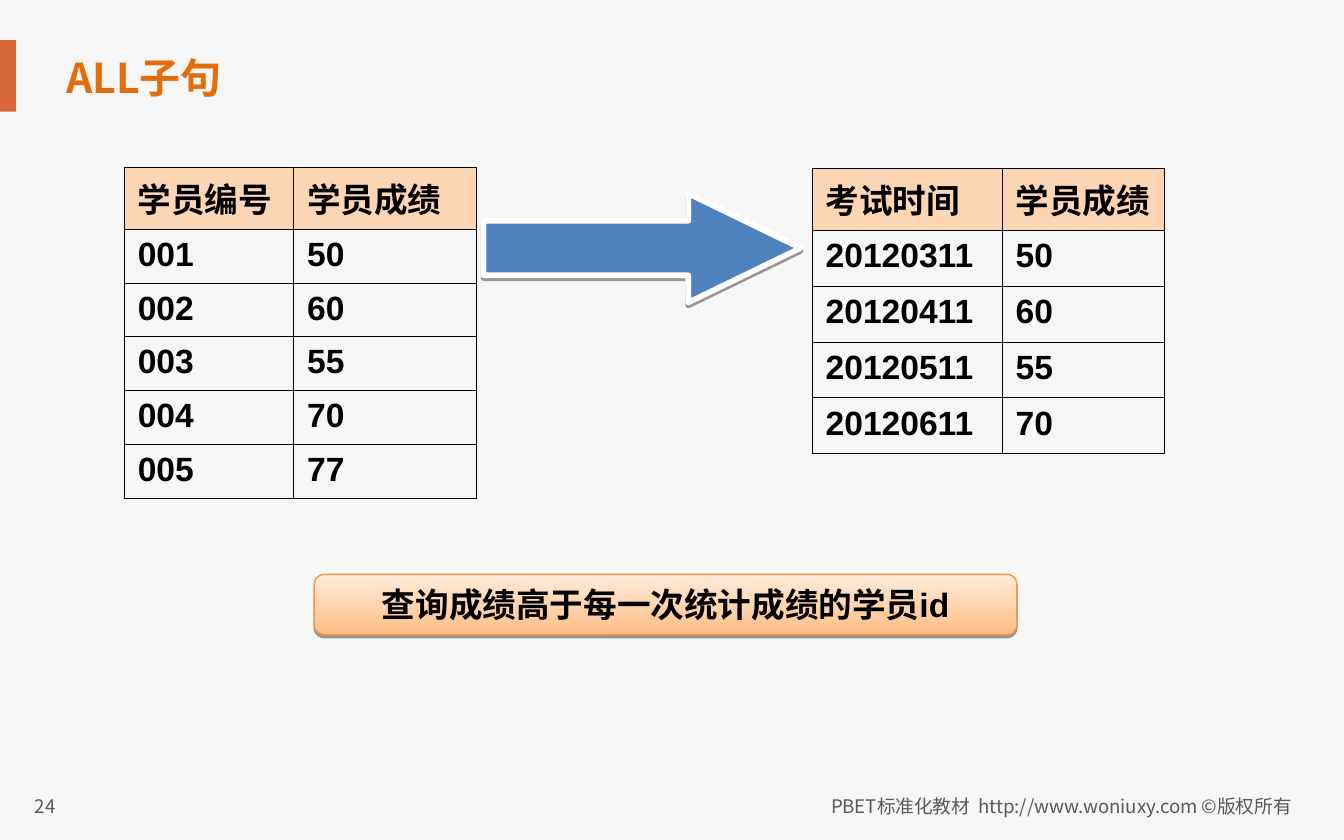
from lxml.etree import SubElement
from pptx import Presentation
from pptx.dml.color import RGBColor
from pptx.enum.shapes import MSO_SHAPE
from pptx.enum.text import MSO_ANCHOR, PP_ALIGN
from pptx.oxml.ns import qn
from pptx.util import Cm, Pt

CJK = "Noto Sans CJK SC"
LATIN = "Arial"


def color(hex_text):
    """Turn a hex string into a colour."""
    return RGBColor.from_string(hex_text)


def place(box):
    """Turn a box in centimetres into lengths."""
    return [Cm(length) for length in box]


def add_run(paragraph, text, size, font, hex_text, bold=False, spacing=None):
    """Add one formatted run, with optional letter spacing in points."""
    run = paragraph.add_run()
    run.text = text
    run.font.size = Pt(size)
    run.font.name = font
    run.font.bold = bold
    run.font.color.rgb = color(hex_text)
    properties = run.font._element
    SubElement(properties, qn("a:ea")).set("typeface", CJK)
    if spacing:
        properties.set("spc", str(round(spacing * 100)))


def add_line_of_text(slide, box, align=PP_ALIGN.LEFT, anchor=MSO_ANCHOR.TOP):
    """Add a wrapping text box and return its paragraph."""
    frame = slide.shapes.add_textbox(*place(box)).text_frame
    frame.word_wrap = True
    frame.vertical_anchor = anchor
    paragraph = frame.paragraphs[0]
    paragraph.alignment = align
    return paragraph


def add_shadow(shape):
    """Give a shape a crisp shadow just below it."""
    shape.shadow.inherit = False
    effects = shape._element.spPr.find(qn("a:effectLst"))
    shadow = SubElement(effects, qn("a:outerShdw"), blurRad="0",
                        dist=str(Pt(1.6)), dir="5400000", rotWithShape="0")
    tint = SubElement(shadow, qn("a:srgbClr"), val="000000")
    SubElement(tint, qn("a:alpha"), val="38000")


def add_heading(slide, box):
    """Draw the accent bar at the slide edge and the title beside it."""
    left, top, width, height = box
    accent = slide.shapes.add_shape(
        MSO_SHAPE.RECTANGLE, *place((left, top, 0.3, height)))
    accent.shadow.inherit = False
    accent.fill.solid()
    accent.fill.fore_color.rgb = color("D76739")
    accent.line.fill.background()
    title = add_line_of_text(slide, (left + 1, top + 0.08, width - 1, 1.22),
                             anchor=MSO_ANCHOR.MIDDLE)
    add_run(title, "ALL子句", 22, CJK, "E46C0A", bold=True)


def add_border(cell):
    """Draw a thin black line on each side of a cell."""
    properties = cell._tc.get_or_add_tcPr()
    for side in ("a:lnL", "a:lnR", "a:lnT", "a:lnB"):
        edge = SubElement(properties, qn(side), w=str(Pt(0.45)))
        paint = SubElement(edge, qn("a:solidFill"))
        SubElement(paint, qn("a:srgbClr"), val="000000")


def add_score_table(slide, box, first_width, records):
    """Draw a two-column score table with a tinted header row."""
    left, top, width, height = box
    header_height = 1.17
    scores = slide.shapes.add_table(len(records), 2, *place(box)).table
    scores.first_row = scores.horz_banding = False
    scores.columns[0].width = Cm(first_width)
    scores.columns[1].width = Cm(width - first_width)
    record_height = (height - header_height) / (len(records) - 1)
    for row, record in enumerate(records):
        is_header = row == 0
        scores.rows[row].height = Cm(header_height if is_header else record_height)
        for column, text in enumerate(record):
            cell = scores.cell(row, column)
            add_border(cell)
            if is_header:
                cell.fill.solid()
                cell.fill.fore_color.rgb = color("FCD5B5")
            else:
                cell.fill.background()
            add_run(cell.text_frame.paragraphs[0], text, 18,
                    CJK if is_header else LATIN, "000000", bold=True)


def add_comparison_arrow(slide, box):
    """Draw the block arrow from the students to the exams."""
    arrow = slide.shapes.add_shape(MSO_SHAPE.RIGHT_ARROW, *place(box))
    arrow.adjustments[0] = 0.5
    arrow.adjustments[1] = 1.03
    arrow.fill.solid()
    arrow.fill.fore_color.rgb = color("4F81BD")
    arrow.line.color.rgb = color("FFFFFF")
    arrow.line.width = Pt(3)
    add_shadow(arrow)


def add_question(slide, box):
    """Draw the rounded callout with the query to solve."""
    question = slide.shapes.add_shape(MSO_SHAPE.ROUNDED_RECTANGLE, *place(box))
    question.fill.gradient()
    question.fill.gradient_angle = 90
    for stop, shade in zip(question.fill.gradient_stops, ("FFBE86", "FFEBDB")):
        stop.color.rgb = color(shade)
    question.line.color.rgb = color("F69240")
    question.line.width = Pt(0.75)
    add_shadow(question)
    frame = question.text_frame
    frame.word_wrap = True
    frame.vertical_anchor = MSO_ANCHOR.MIDDLE
    paragraph = frame.paragraphs[0]
    paragraph.alignment = PP_ALIGN.CENTER
    add_run(paragraph, "查询成绩高于每一次统计成绩的学员id", 18, LATIN, "000000", bold=True)


def add_footer(slide, box):
    """Write the page number on the left and the rights notice on the right."""
    left, top, width, height = box
    number = add_line_of_text(slide, (left, top, 2.18, height))
    add_run(number, "24", 10, CJK, "595959")
    notice = add_line_of_text(slide, (left + width - 12, top, 12, height),
                              align=PP_ALIGN.RIGHT)
    for text, spacing in (("PBET标准化教材", None), (" ", 2.2),
                          ("http://www.woniuxy.com ©版权所有", None)):
        add_run(notice, text, 10, CJK, "595959", spacing=spacing)


def main():
    """Build the slide and save it."""
    deck = Presentation()
    deck.slide_width, deck.slide_height = Cm(25.4), Cm(15.88)
    slide = deck.slides.add_slide(deck.slide_layouts[6])
    slide.background.fill.solid()
    slide.background.fill.fore_color.rgb = color("F6F6F6")

    students = [("学员编号", "学员成绩"), ("001", "50"), ("002", "60"),
                ("003", "55"), ("004", "70"), ("005", "77")]
    exams = [("考试时间", "学员成绩"), ("20120311", "50"), ("20120411", "60"),
             ("20120511", "55"), ("20120611", "70")]
    add_heading(slide, (0, 0.76, 18.85, 1.35))
    add_score_table(slide, (15.35, 3.18, 6.65, 5.4), 3.59, exams)
    add_comparison_arrow(slide, (9.14, 3.66, 5.99, 2.06))
    add_score_table(slide, (2.35, 3.16, 6.65, 6.26), 3.2, students)
    add_question(slide, (5.94, 10.86, 13.28, 1.14))
    add_footer(slide, (0.41, 14.91, 24.25, 0.72))
    deck.save("out.pptx")


if __name__ == "__main__":
    main()
